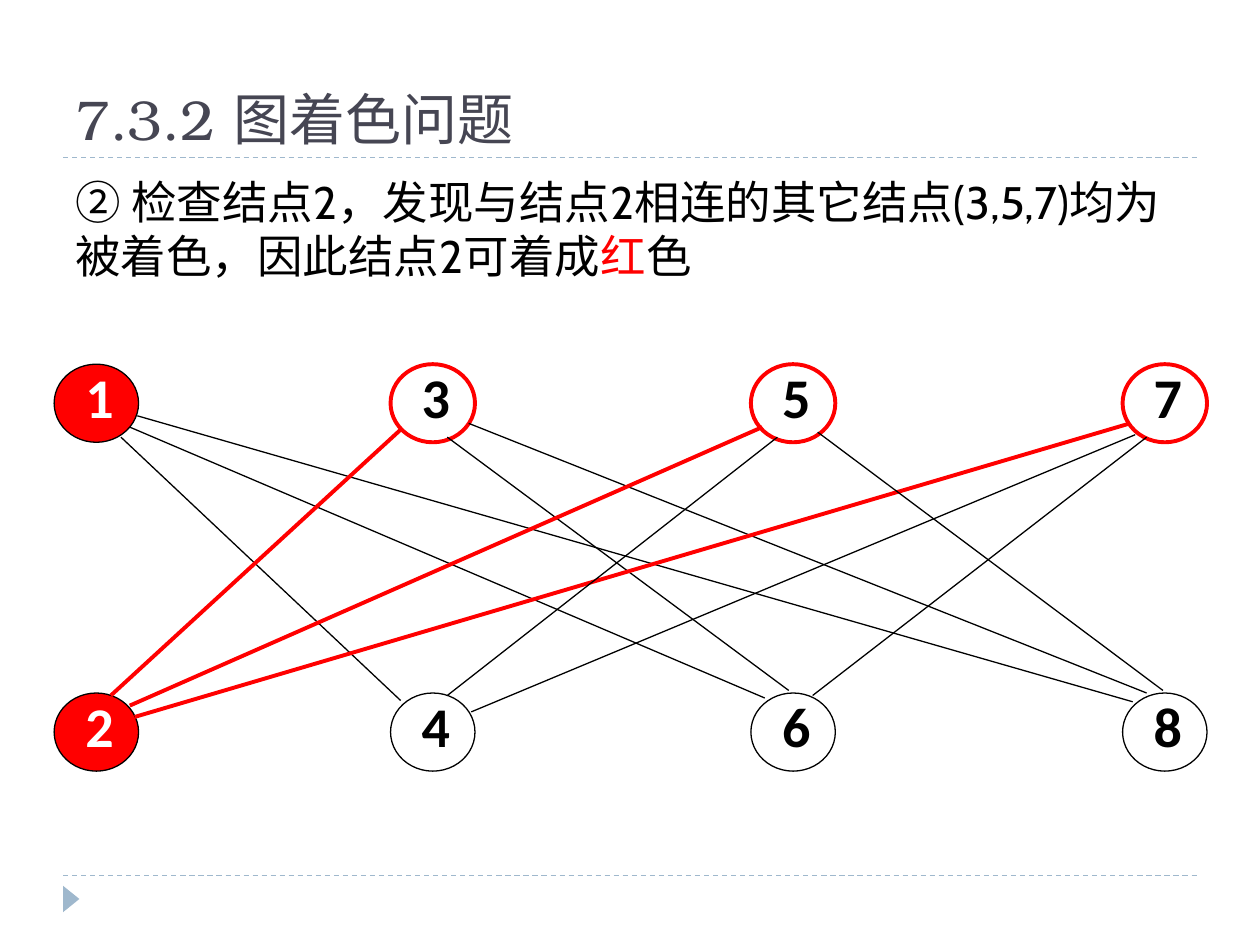
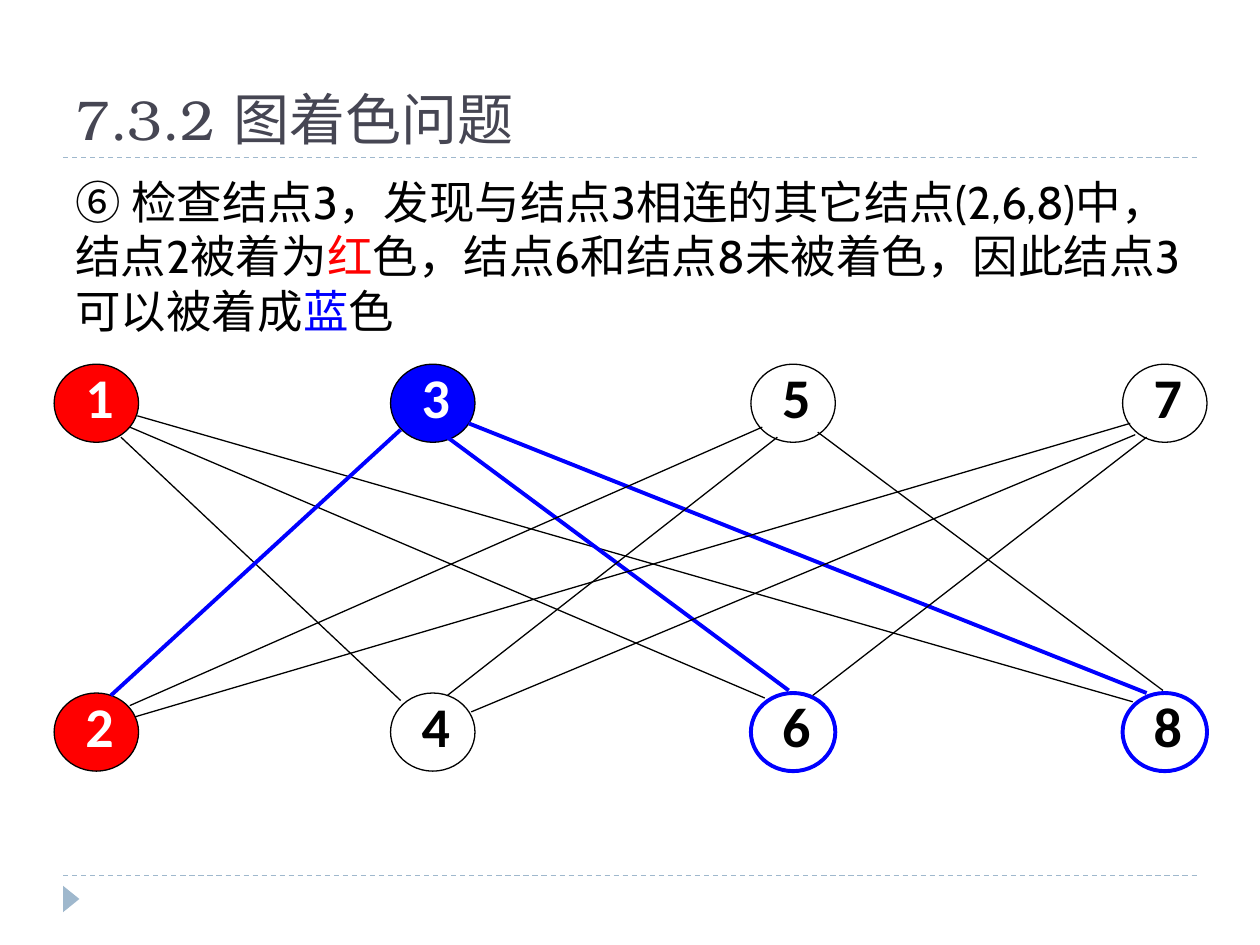
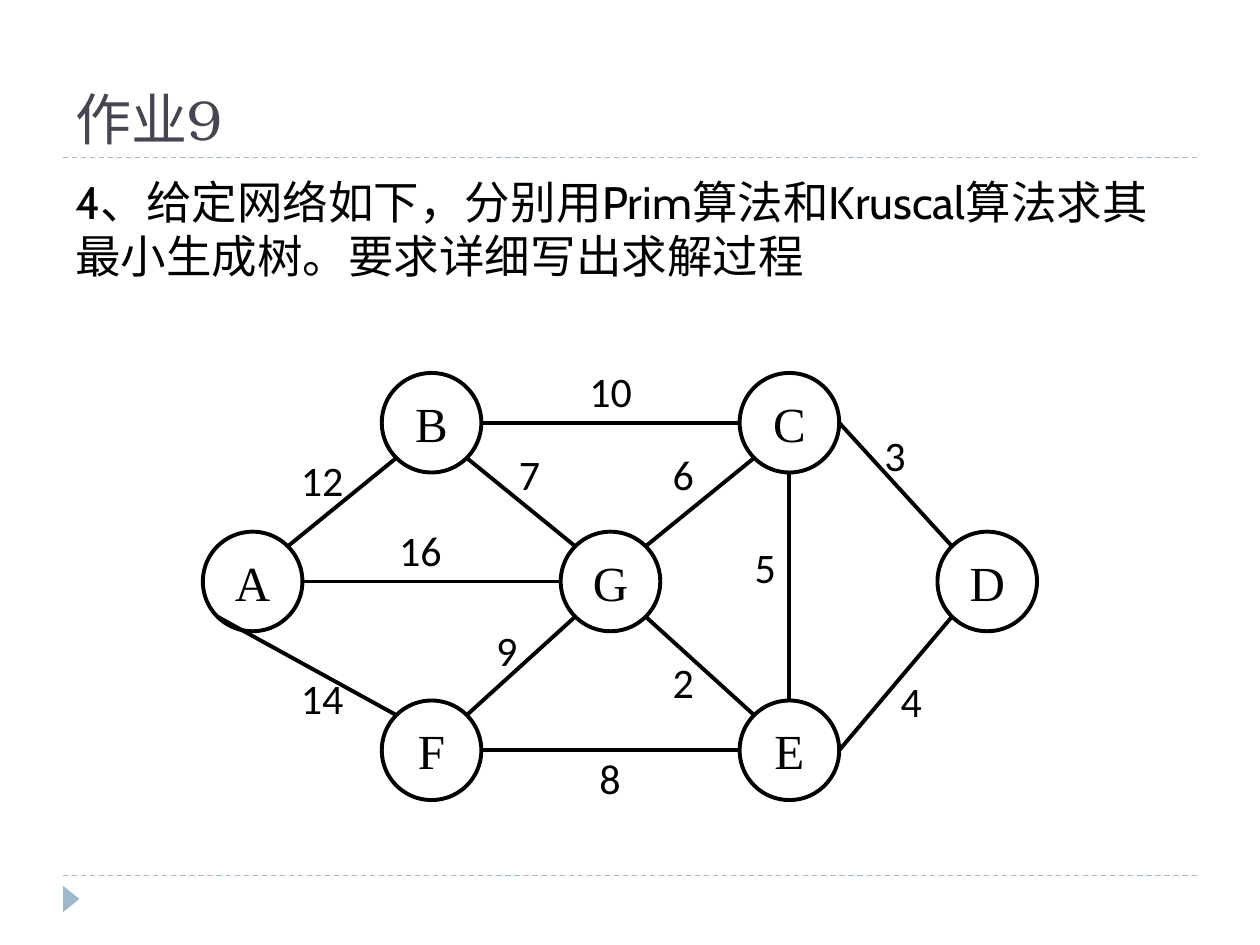
import math

import pptx
import pptx.dml.color
import pptx.enum.dml
import pptx.enum.shapes
import pptx.enum.text
import pptx.oxml
import pptx.util

Inches = pptx.util.Inches
Pt = pptx.util.Pt
ALIGN = pptx.enum.text.PP_ALIGN
ANCHOR = pptx.enum.text.MSO_ANCHOR
SHAPE = pptx.enum.shapes.MSO_SHAPE

BLACK, WHITE, RED, BLUE = "000000", "FFFFFF", "FF0000", "0000FF"
TITLE_COLOR, ACCENT = "464653", "9FB8CD"
TITLE_FONT, BODY_FONT, LABEL_FONT, NODE_FONT = (
    "TeX Gyre Bonum", "Cabin", "Calibri", "Times New Roman")
THIN, THICK = 0.75, 2.25


def rgb(color):
    return pptx.dml.color.RGBColor.from_string(color)


# Basic parts
def write(sp, text, font, size, color=BLACK, bold=False, align=ALIGN.LEFT,
          anchor=ANCHOR.TOP, spacing=None, insets=None, wrap=True):
    """Text is a string, or a list of strings and (string, colour) pairs."""
    tf = sp.text_frame
    tf.word_wrap = wrap
    tf.vertical_anchor = anchor
    if insets:
        (tf.margin_left, tf.margin_top,
         tf.margin_right, tf.margin_bottom) = map(Inches, insets)
    p = tf.paragraphs[0]
    p.alignment = align
    if spacing:
        p.line_spacing = spacing
    for part in [text] if isinstance(text, str) else text:
        words, ink = (part, color) if isinstance(part, str) else part
        r = p.add_run()
        r.text = words
        r.font.name, r.font.size, r.font.bold = font, Pt(size), bold
        r.font.color.rgb = rgb(ink)


def add_text(slide, x, y, w, h, text, font, size, **fmt):
    sp = slide.shapes.add_textbox(Inches(x), Inches(y), Inches(w), Inches(h))
    write(sp, text, font, size, **fmt)
    return sp


def add_line(slide, x1, y1, x2, y2, color=BLACK, width=THIN, dash=None):
    line = slide.shapes.add_connector(
        pptx.enum.shapes.MSO_CONNECTOR.STRAIGHT,
        Inches(x1), Inches(y1), Inches(x2), Inches(y2))
    line.line.color.rgb = rgb(color)
    line.line.width = Pt(width)
    if dash:
        line.line.dash_style = dash
    line._element.spPr.append(
        pptx.oxml.parse_xml('<a:effectLst xmlns:a='
                            '"http://schemas.openxmlformats.org/drawingml/2006/main"/>'))


def add_shape(slide, kind, x, y, w, h, fill=None, line=None, width=THIN):
    sp = slide.shapes.add_shape(kind, Inches(x), Inches(y), Inches(w), Inches(h))
    sp.shadow.inherit = False
    if fill:
        sp.fill.solid()
        sp.fill.fore_color.rgb = rgb(fill)
    else:
        sp.fill.background()
    if line:
        sp.line.color.rgb = rgb(line)
        sp.line.width = Pt(width)
    else:
        sp.line.fill.background()
    return sp


# Frame shared by all slides: rules, corner marker, title and body text
def add_slide(prs, title, body):
    slide = prs.slides.add_slide(prs.slide_layouts[6])
    for y in (6.95, 1.25):
        add_line(slide, 0.5, y, 9.5, y, ACCENT, dash=pptx.enum.dml.MSO_LINE.DASH)
    marker = add_shape(slide, SHAPE.ISOSCELES_TRIANGLE, 0.46, 7.07, 0.21, 0.13, ACCENT)
    marker.rotation = 90
    add_text(slide, 0.5, 0.17, 9, 1.08, title, TITLE_FONT, 32,
             color=TITLE_COLOR, anchor=ANCHOR.BOTTOM)
    add_text(slide, 0.5, 1.33, 9, 5.4, body, BODY_FONT, 26)
    return slide


# Two-row graph: odd nodes on top, even nodes below
COLUMNS = (0, 2.67, 5.53, 8.48)
ROWS = (0, 2.61)
COLORING_EDGES = {
    (1, 4): (0.53, 0.58, 2.75, 2.67),
    (1, 6): (0.6, 0.5, 5.64, 2.65),
    (1, 8): (0.66, 0.41, 8.56, 2.68),
    (3, 2): (2.75, 0.52, 0.45, 2.63),
    (3, 6): (3.12, 0.58, 5.83, 2.59),
    (3, 8): (3.29, 0.47, 8.67, 2.61),
    (5, 2): (5.62, 0.5, 0.6, 2.71),
    (7, 2): (8.54, 0.47, 0.64, 2.8),
    (5, 4): (5.74, 0.58, 3.12, 2.63),
    (5, 8): (6.06, 0.54, 8.8, 2.59),
    (7, 6): (8.67, 0.58, 6.02, 2.63),
    (7, 4): (8.58, 0.56, 3.31, 2.76),
}


def add_coloring_graph(slide, left, top, checked, colors):
    """Highlight the checked node's edges and its uncoloured neighbours."""
    accent = colors[checked]
    neighbours = {n for edge in COLORING_EDGES if checked in edge for n in edge}
    for node in range(1, 9):
        column, row = divmod(node - 1, 2)
        fill = colors.get(node)
        marked = node in neighbours and not fill
        sp = add_shape(slide, SHAPE.OVAL, left + COLUMNS[column], top + ROWS[row],
                       0.67, 0.62, fill, accent if marked else BLACK,
                       THICK if marked else THIN)
        write(sp, str(node), LABEL_FONT, 32, color=WHITE if fill else BLACK,
              bold=True, align=ALIGN.CENTER, spacing=0.8, insets=(0.05, 0, 0, 0))
    for edge, (x1, y1, x2, y2) in COLORING_EDGES.items():
        style = (accent, THICK) if checked in edge else (BLACK, THIN)
        add_line(slide, left + x1, top + y1, left + x2, top + y2, *style)


# Weighted network: node corners, edges between compass points, weight labels
NODE_SIZE = 0.79
NETWORK_NODES = {"A": (0, 1.26), "B": (1.42, 0), "C": (4.26, 0), "D": (5.83, 1.26),
                 "E": (4.26, 2.6), "F": (1.42, 2.6), "G": (2.84, 1.26)}
COMPASS = {"e": 0, "se": 45, "s": 90, "sw": 135, "w": 180, "nw": 225, "n": 270, "ne": 315}
NETWORK_EDGES = [
    # start, side, end, side, weight, label position
    ("A", "ne", "B", "sw", 12, 0.68, 0.6),
    ("B", "e", "C", "w", 10, 2.97, -0.11),
    ("C", "e", "D", "nw", 3, 5.31, 0.4),
    ("D", "sw", "E", "e", 4, 5.44, 2.35),
    ("E", "w", "F", "e", 8, 3.05, 2.96),
    ("F", "nw", "A", "sw", 14, 0.68, 2.33),
    ("A", "e", "G", "w", 16, 1.46, 1.15),
    ("C", "s", "E", "n", 5, 4.28, 1.29),
    ("G", "nw", "B", "se", 7, 2.41, 0.55),
    ("G", "ne", "C", "sw", 6, 3.63, 0.55),
    ("G", "sw", "F", "ne", 9, 2.23, 1.95),
    ("G", "se", "E", "nw", 2, 3.63, 2.2),
]


def add_network(slide, left, top):
    def rim_point(node, side):
        x, y = NETWORK_NODES[node]
        angle, radius = math.radians(COMPASS[side]), NODE_SIZE / 2
        return (left + x + radius * (1 + math.cos(angle)),
                top + y + radius * (1 + math.sin(angle)))

    for name, (x, y) in NETWORK_NODES.items():
        sp = add_shape(slide, SHAPE.OVAL, left + x, top + y, NODE_SIZE, NODE_SIZE,
                       line=BLACK, width=THICK)
        write(sp, name, NODE_FONT, 28, align=ALIGN.CENTER, anchor=ANCHOR.MIDDLE)
    for start, side1, end, side2, weight, x, y in NETWORK_EDGES:
        add_line(slide, *rim_point(start, side1), *rim_point(end, side2), width=THICK)
        label = add_text(slide, left + x, top + y, 0.54 if weight > 9 else 0.37, 0.5,
                         str(weight), LABEL_FONT, 24, wrap=False)
        label.text_frame.auto_size = pptx.enum.text.MSO_AUTO_SIZE.SHAPE_TO_FIT_TEXT


def main():
    prs = pptx.Presentation()
    prs.slide_width, prs.slide_height = Inches(10), Inches(7.5)

    coloring_title = "7.3.2 图着色问题"
    slide = add_slide(prs, coloring_title, [
        "② 检查结点2，发现与结点2相连的其它结点(3,5,7)均为被着色，因此结点2可着成",
        ("红", RED), "色"])
    add_coloring_graph(slide, 0.43, 2.89, 2, {1: RED, 2: RED})

    slide = add_slide(prs, coloring_title, [
        "⑥ 检查结点3，发现与结点3相连的其它结点(2,6,8)中，结点2被着为",
        ("红", RED), "色，结点6和结点8未被着色，因此结点3可以被着成",
        ("蓝", BLUE), "色"])
    add_coloring_graph(slide, 0.43, 2.89, 3, {1: RED, 2: RED, 3: BLUE})

    slide = add_slide(prs, "作业9",
                      "4、给定网络如下，分别用Prim算法和Kruscal算法求其最小生成树。要求详细写出求解过程")
    add_network(slide, 1.61, 2.96)

    prs.save("out.pptx")


if __name__ == "__main__":
    main()
